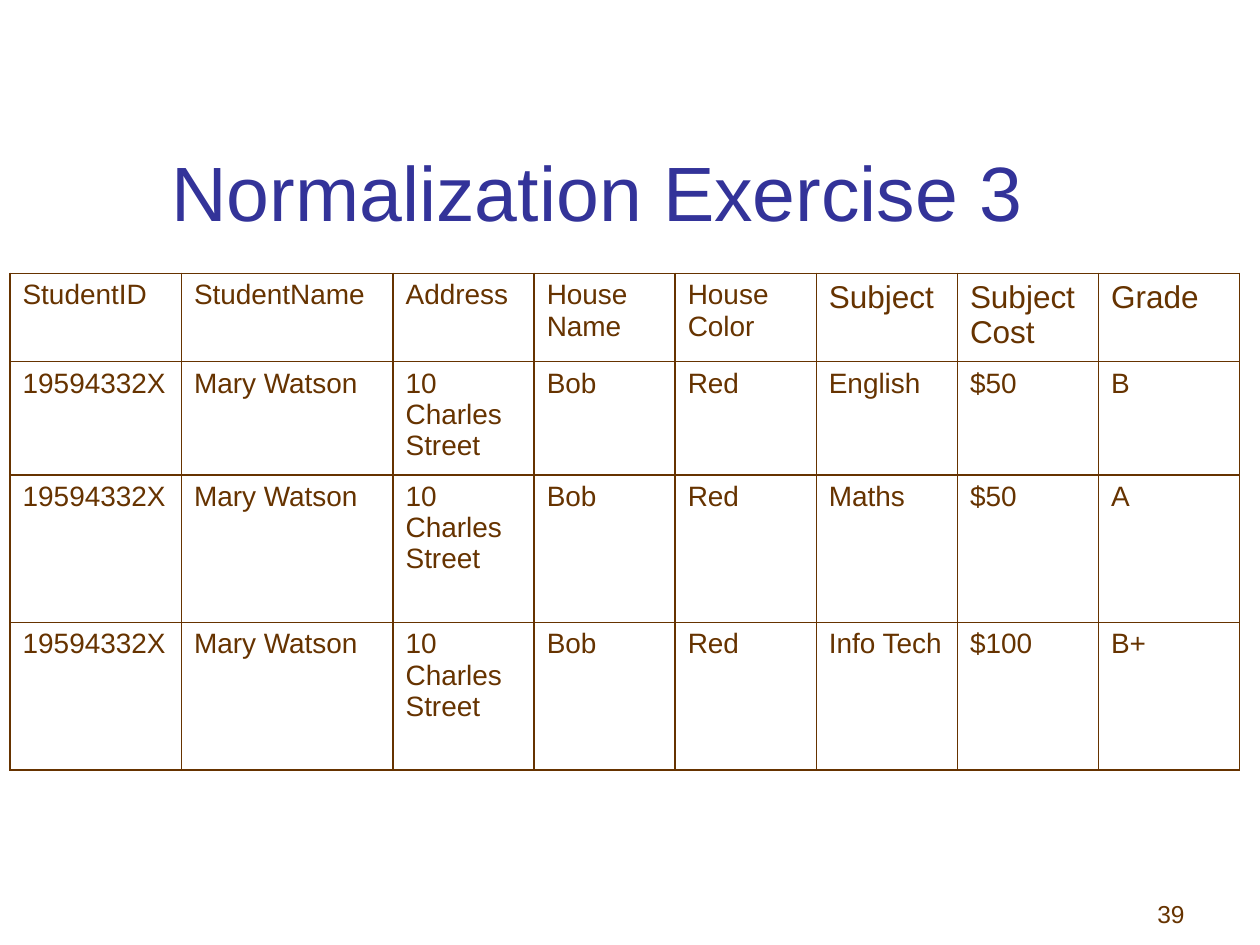
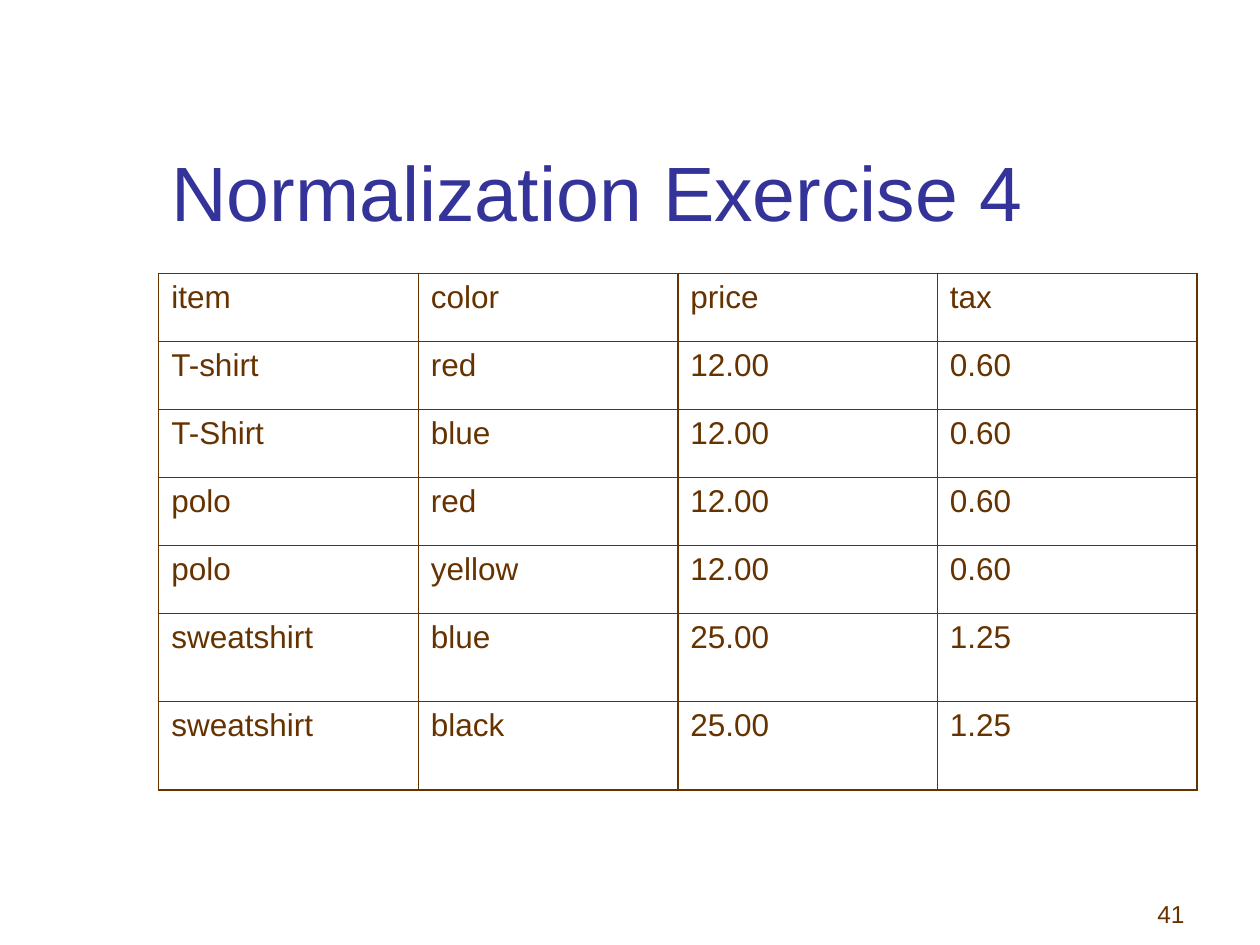
from dataclasses import dataclass

from lxml import etree
from pptx import Presentation
from pptx import util as u
from pptx.dml.color import RGBColor
from pptx.enum import text
from pptx.oxml.ns import qn


@dataclass(frozen=True)
class Theme:
    font: str = "Arial"
    title_color: str = "333399"
    ink: str = "663300"
    title_size: int = 44
    large: int = 18
    small: int = 16
    number_size: int = 14
    border: float = 1


THEME = Theme()
TABLE_TOP = 2.17


def add_run(p, words, size, color=THEME.ink):
    r = p.add_run()
    r.text = words
    r.font.name = THEME.font
    r.font.size = u.Pt(size)
    r.font.color.rgb = RGBColor.from_string(color)


def place(sp, left, top, width, height):
    sp.left, sp.top = u.Inches(left), u.Inches(top)
    sp.width, sp.height = u.Inches(width), u.Inches(height)


# Title and slide number, common to every slide
def add_slide(prs, title, number):
    s = prs.slides.add_slide(prs.slide_layouts[5])
    sp = s.shapes.title
    place(sp, 1.26, 0.68, 8.52, 1.25)
    tf = sp.text_frame
    tf.auto_size = text.MSO_AUTO_SIZE.NONE
    tf.vertical_anchor = text.MSO_ANCHOR.BOTTOM
    p = tf.paragraphs[0]
    p.alignment = text.PP_ALIGN.LEFT
    add_run(p, title, THEME.title_size, THEME.title_color)

    box = s.shapes.add_textbox(*map(u.Inches, (7.42, 6.92, 2.08, 0.5)))
    tf = box.text_frame
    tf.word_wrap = True
    tf.vertical_anchor = text.MSO_ANCHOR.BOTTOM
    p = tf.paragraphs[0]
    p.alignment = text.PP_ALIGN.RIGHT
    add_run(p, str(number), THEME.number_size)
    return s


# Cell borders go before the fill in the cell properties
def set_borders(cell):
    tc_pr = cell._tc.get_or_add_tcPr()
    for side in ("lnL", "lnR", "lnT", "lnB"):
        ln = etree.SubElement(tc_pr, qn(f"a:{side}"), w=str(u.Pt(THEME.border)))
        fill = etree.SubElement(ln, qn("a:solidFill"))
        etree.SubElement(fill, qn("a:srgbClr"), val=THEME.ink)


# In a cell, \n starts a paragraph and \v breaks a line
def fill_cell(cell, words, size):
    set_borders(cell)
    cell.fill.background()
    tf = cell.text_frame
    for i, para in enumerate(words.split("\n")):
        p = tf.paragraphs[0] if i == 0 else tf.add_paragraph()
        for j, line in enumerate(para.split("\v")):
            if j:
                p.add_line_break()
            add_run(p, line, size)


def add_grid(s, left, widths, heights, rows, size_at):
    frame = s.shapes.add_table(len(rows), len(widths), u.Inches(left), u.Inches(TABLE_TOP),
                               u.Inches(sum(widths)), u.Inches(sum(heights)))
    table = frame.table
    table.first_row = table.horz_banding = False
    for column, width in zip(table.columns, widths):
        column.width = u.Inches(width)
    for row, height in zip(table.rows, heights):
        row.height = u.Inches(height)
    for i, row in enumerate(rows):
        for j, words in enumerate(row):
            fill_cell(table.cell(i, j), words, size_at(i, j))


def main():
    prs = Presentation()
    prs.slide_width, prs.slide_height = u.Inches(10), u.Inches(7.5)

    # Exercise 3: student results
    student = ["19594332X", "Mary Watson", "10 Charles Street", "Bob", "Red"]
    results = [["English", "$50", "B"], ["Maths", "$50", "A"], ["Info Tech", "$100", "B+"]]
    header = ["StudentID", "StudentName", "Address", "House\nName", "House\nColor",
              "Subject", "Subject\vCost", "Grade"]
    s = add_slide(prs, "Normalization Exercise 3", 39)
    add_grid(s, 0.08, [1.36, 1.68] + [1.12] * 6, [0.7, 0.9, 1.17, 1.17],
             [header] + [student + result for result in results],
             lambda i, j: THEME.large if i == 0 and j >= len(student) else THEME.small)

    # Exercise 4: clothing prices
    clothes = [
        ["item", "color", "price", "tax"],
        ["T-shirt", "red", "12.00", "0.60"],
        ["T-Shirt", "blue", "12.00", "0.60"],
        ["polo", "red", "12.00", "0.60"],
        ["polo", "yellow", "12.00", "0.60"],
        ["sweatshirt", "blue", "25.00", "1.25"],
        ["sweatshirt", "black", "25.00", "1.25"],
    ]
    s = add_slide(prs, "Normalization Exercise 4", 41)
    add_grid(s, 1.26, [2.06] * 4, [0.54] * 5 + [0.7] * 2, clothes,
             lambda i, j: THEME.large)

    prs.save("out.pptx")


if __name__ == "__main__":
    main()
